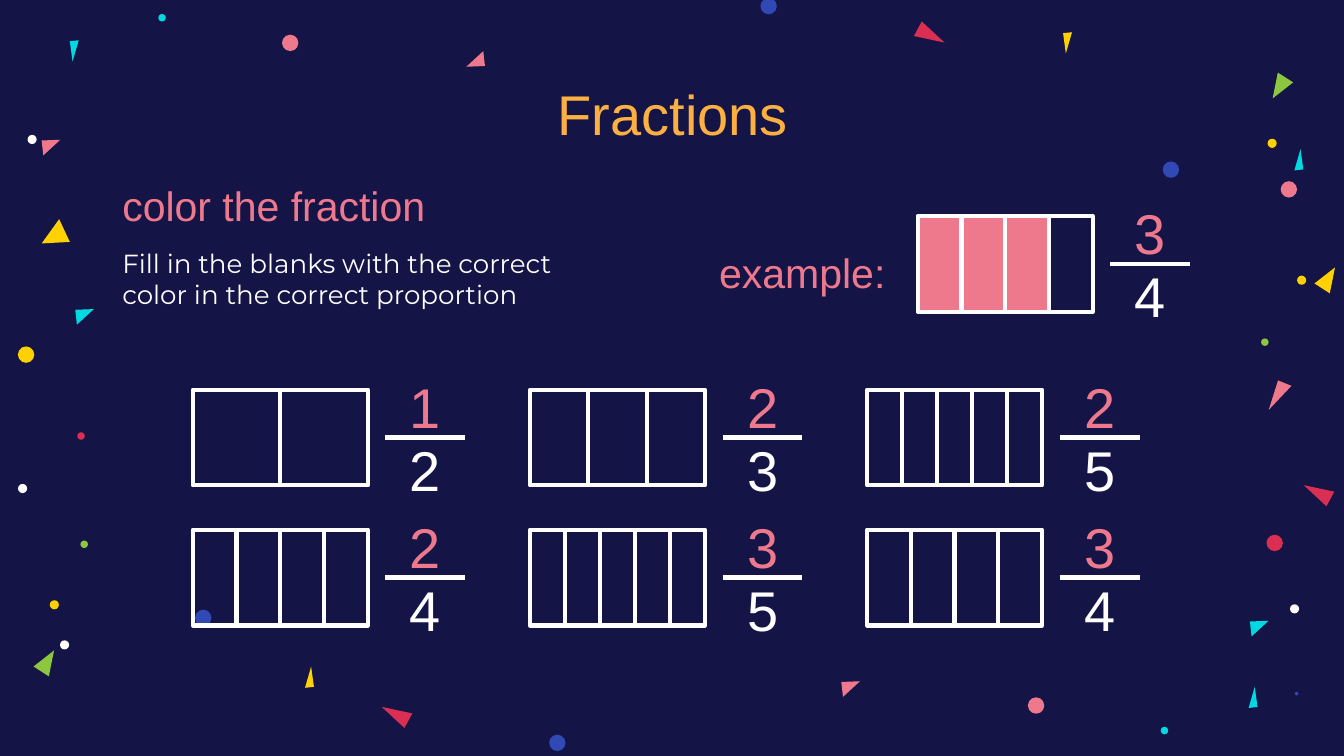
from lxml import etree
from pptx import Presentation
from pptx.dml.color import RGBColor
from pptx.enum.shapes import MSO_CONNECTOR, MSO_SHAPE
from pptx.enum.text import MSO_ANCHOR, MSO_AUTO_SIZE, PP_ALIGN
from pptx.oxml.ns import qn
from pptx.util import Pt

LEFT, CENTER = PP_ALIGN.LEFT, PP_ALIGN.CENTER
TOP, MIDDLE = MSO_ANCHOR.TOP, MSO_ANCHOR.MIDDLE
OVAL, RECTANGLE = MSO_SHAPE.OVAL, MSO_SHAPE.RECTANGLE
STRAIGHT = MSO_CONNECTOR.STRAIGHT

NAVY = RGBColor(0x14, 0x14, 0x47)
ORANGE = RGBColor(0xFB, 0xB0, 0x41)
PINK = RGBColor(0xEE, 0x79, 0x8D)
WHITE = RGBColor(0xFF, 0xFF, 0xFF)
CYAN = RGBColor(0x00, 0xD9, 0xE2)
YELLOW = RGBColor(0xFF, 0xD1, 0x00)
RED = RGBColor(0xDB, 0x2E, 0x53)
BLUE = RGBColor(0x30, 0x49, 0xB5)
GREEN = RGBColor(0x8D, 0xC6, 0x3F)

# placeholder idx: text, box (left, top, width, height), font, size, colour, alignment
TEXTS = {
    0: ("Fractions", (56.9, 35.3, 607, 45.4), "Arial", 30, ORANGE, CENTER),
    1: ("color the fraction", (58.3, 89.3, 254.2, 33.8), "Arial", 22, PINK, LEFT),
    2: ("Fill in the blanks with the correct color in the correct proportion",
        (58.3, 125.3, 257, 45.4), "Montserrat", 14, WHITE, LEFT),
    3: ("example:", (367.9, 125.3, 123.8, 33.8), "Arial", 22, PINK, CENTER),
}

EXAMPLE = (3, 4)
EXERCISES = [
    [(1, 2), (2, 3), (2, 5)],
    [(2, 4), (3, 5), (3, 4)],
]
EXAMPLE_LEFT, EXAMPLE_TOP = 491.6, 115.8
GRID_LEFT, GRID_TOP = 103.3, 208.8
COLUMN_STEP, ROW_STEP = 180.6, 75
BAR_WIDTH, BAR_HEIGHT = 93.8, 51.3
LINE_WIDTH = 2.25

# diameter: (centre x, centre y, colour)
DOTS = {
    8.8: [(690.5, 101.5, PINK), (682.9, 290.9, RED), (14, 190, YELLOW),
          (411.8, 3.3, BLUE), (155.5, 23, PINK), (627.3, 90.9, BLUE),
          (298.6, 398, BLUE), (555.1, 378, PINK), (108.9, 331, BLUE)],
    4.9: [(697.3, 150.1, YELLOW), (12.1, 261.7, WHITE), (34.6, 345.5, WHITE),
          (681.5, 76.8, YELLOW), (17.2, 74.7, WHITE), (29.1, 324, YELLOW),
          (693.5, 326.2, WHITE)],
    4: [(677.6, 183.3, GREEN), (45.1, 291.6, GREEN), (43.4, 233.6, RED),
        (86.8, 9.5, CYAN), (623.8, 391.4, CYAN)],
    1.9: [(694.6, 371.6, BLUE)],
}

# corners of a triangle, then its places (left, top, colour, upside down)
SHARDS = [
    ([(11, 0), (0, 8.6), (8.2, 13.9)],
     [(704.2, 143.3, YELLOW, False), (18, 348.5, GREEN, False),
      (681.8, 38.9, GREEN, True)]),
    ([(3.3, 0), (0, 11.4), (4.8, 10.9)],
     [(693.4, 79.9, CYAN, False), (668.9, 367.9, CYAN, False),
      (163.4, 357.1, YELLOW, False), (37.4, 21.6, CYAN, True),
      (569.5, 17.3, YELLOW, True)]),
    ([(0, 0), (12.2, 11.3), (16.4, 3.5)],
     [(698.4, 259.9, RED, False), (204.5, 378.7, RED, False),
      (489.6, 11.5, RED, True)]),
    ([(10, 0), (0, 0.4), (0.9, 8.4)],
     [(669.6, 332.6, CYAN, False), (22.3, 74.9, PINK, False),
      (40.3, 165.6, CYAN, False), (450.7, 365, PINK, False),
      (249.8, 27.4, PINK, True)]),
    ([(5, 0), (0, 15.8), (12.2, 2.9)], [(679.7, 203.8, PINK, False)]),
    ([(9.4, 0), (0, 13), (15.1, 12.2)], [(22.3, 117.4, YELLOW, False)]),
]


def pts(*values):
    return [Pt(v) for v in values]


def paint(sp, fill=None, line=None):
    sp.shadow.inherit = False
    if fill is None:
        sp.fill.background()
    else:
        sp.fill.solid()
        sp.fill.fore_color.rgb = fill
    if line is None:
        sp.line.fill.background()
    else:
        sp.line.color.rgb = line
        sp.line.width = Pt(LINE_WIDTH)


def write(sp, text, font, size, color, align, anchor):
    tf = sp.text_frame
    tf.text = text
    tf.word_wrap = True
    tf.auto_size = MSO_AUTO_SIZE.NONE
    tf.vertical_anchor = anchor
    tf.margin_left = tf.margin_right = tf.margin_top = tf.margin_bottom = Pt(7.2)
    p = tf.paragraphs[0]
    p.alignment = align
    p.line_spacing = 1.0
    p.space_before = Pt(0)
    f = p.runs[0].font
    f.name, f.size, f.bold = font, Pt(size), False
    f.color.rgb = color
    return p


def remove_bullet(p):
    pPr = p._p.get_or_add_pPr()
    pPr.set("marL", "0")
    pPr.set("indent", "0")
    etree.SubElement(pPr, qn("a:buNone"))


def add_confetti(shapes):
    for size, dots in DOTS.items():
        for x, y, color in dots:
            paint(shapes.add_shape(OVAL, *pts(x - size / 2, y - size / 2, size, size)), color)
    for corners, places in SHARDS:
        width = max(x for x, _ in corners)
        height = max(y for _, y in corners)
        for left, top, color, flipped in places:
            points = [pts(left + (width - x if flipped else x),
                          top + (height - y if flipped else y)) for x, y in corners]
            builder = shapes.build_freeform(*points[0])
            builder.add_line_segments(points[1:], close=True)
            paint(builder.convert_to_shape(), color)


def add_fraction(shapes, left, top, numerator, denominator, colored=0):
    """Draw a bar of equal cells with its fraction on the right."""
    cell = BAR_WIDTH / denominator
    for i in range(denominator):
        sp = shapes.add_shape(RECTANGLE, *pts(left + i * cell, top, cell, BAR_HEIGHT))
        paint(sp, PINK if i < colored else None, WHITE)
    for number, dy, color in ((numerator, -6.5, PINK), (denominator, 27.4, WHITE)):
        box = shapes.add_textbox(*pts(left + 97, top + dy, 55.4, 30.2))
        write(box, str(number), "Arial", 30, color, CENTER, MIDDLE)
    y = top + BAR_HEIGHT / 2
    line = shapes.add_connector(STRAIGHT, *pts(left + 103.2, y, left + 146, y))
    line.line.color.rgb = WHITE
    line.line.width = Pt(LINE_WIDTH)
    etree.SubElement(line._element.spPr, qn("a:effectLst"))


def main():
    prs = Presentation()
    prs.slide_width, prs.slide_height = pts(720, 405)
    s = prs.slides.add_slide(prs.slide_layouts.get_by_name("Comparison"))
    s.background.fill.solid()
    s.background.fill.fore_color.rgb = NAVY

    for sp in list(s.placeholders):
        idx = sp.placeholder_format.idx
        if idx not in TEXTS:
            sp._element.getparent().remove(sp._element)
            continue
        text, box, font, size, color, align = TEXTS[idx]
        sp.left, sp.top, sp.width, sp.height = pts(*box)
        p = write(sp, text, font, size, color, align, TOP)
        if idx:
            remove_bullet(p)

    add_confetti(s.shapes)
    add_fraction(s.shapes, EXAMPLE_LEFT, EXAMPLE_TOP, *EXAMPLE, colored=EXAMPLE[0])
    for row, fractions in enumerate(EXERCISES):
        for column, fraction in enumerate(fractions):
            add_fraction(s.shapes, GRID_LEFT + column * COLUMN_STEP,
                         GRID_TOP + row * ROW_STEP, *fraction)
    prs.save("out.pptx")


if __name__ == "__main__":
    main()
